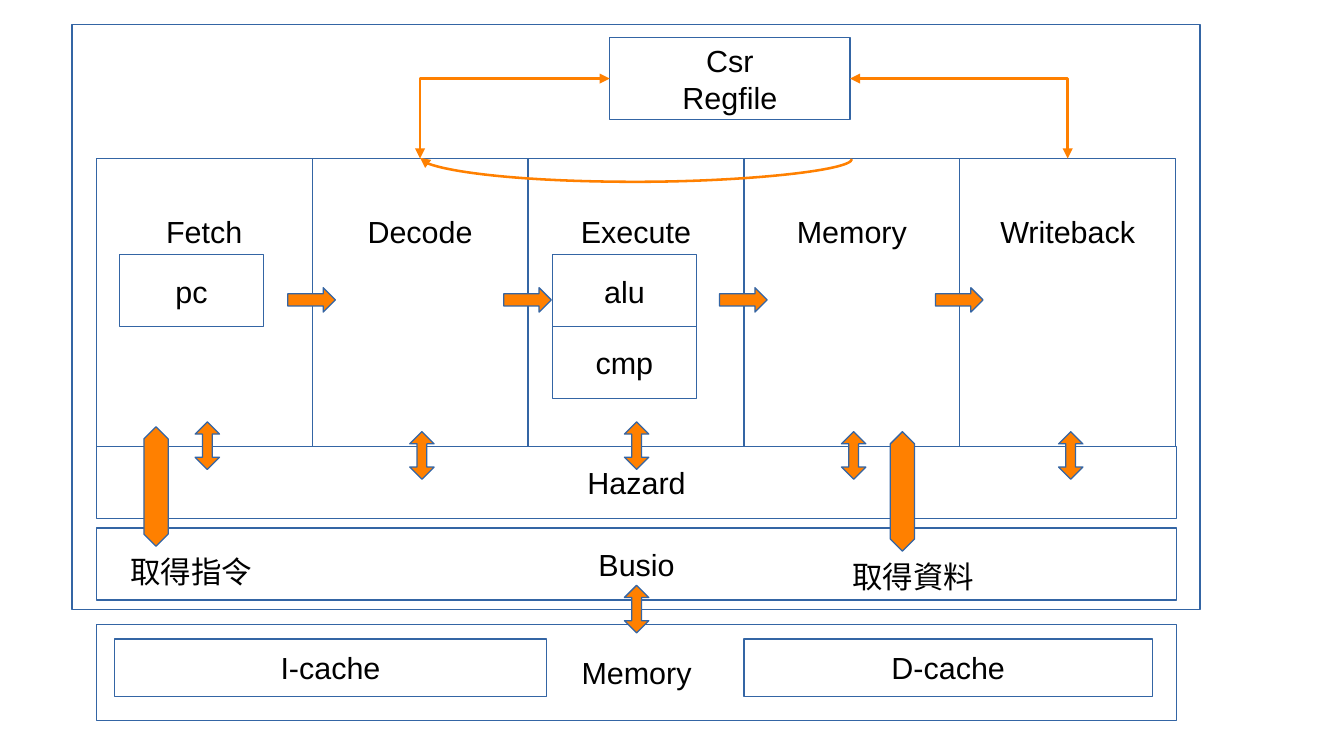
import pptx
import pptx.dml.color
import pptx.enum.shapes
import pptx.enum.text
import pptx.oxml
import pptx.oxml.ns
import pptx.util
from pptx.util import Inches

SHAPE = pptx.enum.shapes.MSO_SHAPE
ANCHOR = pptx.enum.text.MSO_ANCHOR
ALIGN = pptx.enum.text.PP_ALIGN
CONNECTOR = pptx.enum.shapes.MSO_CONNECTOR
WHITE, BLACK, BLUE, ORANGE = "FFFFFF", "000000", "3465A4", "FF8000"
TOP, LEFT, RIGHT = 0, 1, 3
STAGE_LEFT, STAGE_TOP, STAGE_WIDTH = 0.79, 1.3, 1.77
CORE_WIDTH = 8.86


def color(hex_code):
    """Turn a hex string into a colour."""
    return pptx.dml.color.RGBColor.from_string(hex_code)


def write(frame, text, size=18, font="Arial", ink=BLACK, align=ALIGN.CENTER,
          anchor=ANCHOR.MIDDLE, wrap=True, top_inset=0.05):
    """Put formatted text into a text frame."""
    frame.word_wrap = wrap
    frame.vertical_anchor = anchor
    frame.margin_top = Inches(top_inset)
    paragraph = frame.paragraphs[0]
    paragraph.text = text
    paragraph.alignment = align
    for run in paragraph.runs:
        run.font.size = pptx.util.Pt(size)
        run.font.name = font
        run.font.color.rgb = color(ink)


def add_block(slide, kind, left, top, width, height, fill):
    """Add a filled preset shape with a hairline outline."""
    block = slide.shapes.add_shape(
        kind, Inches(left), Inches(top), Inches(width), Inches(height))
    block.shadow.inherit = False
    block.fill.solid()
    block.fill.fore_color.rgb = color(fill)
    block.line.color.rgb = color(BLUE)
    block.line.width = pptx.util.Pt(0)
    return block


def add_unit(slide, left, top, width, height, label="", **text_format):
    """Add a white hardware unit with its label."""
    unit = add_block(slide, SHAPE.RECTANGLE, left, top, width, height, WHITE)
    if label:
        write(unit.text_frame, label, **text_format)
    return unit


def add_exchange(slide, center, top, height=0.39, head=0.398):
    """Add a vertical double block arrow."""
    exchange = add_block(slide, SHAPE.UP_DOWN_ARROW, center - 0.1, top, 0.2, height, ORANGE)
    exchange.adjustments[0] = 0.5
    exchange.adjustments[1] = head


def add_caption(slide, left, top, text):
    """Add a free caption."""
    caption = slide.shapes.add_textbox(Inches(left), Inches(top), Inches(1.2), Inches(0.44))
    write(caption.text_frame, text, align=ALIGN.LEFT, anchor=ANCHOR.TOP, wrap=False)


def add_path(slide, kind, preset, source, source_site, target, target_site, ends):
    """Connect two units with an orange arrow line."""
    path = slide.shapes.add_connector(kind, 0, 0, 0, 0)
    path.begin_connect(source, source_site)
    path.end_connect(target, target_site)
    path.line.color.rgb = color(ORANGE)
    path.line.width = pptx.util.Pt(1.5)
    properties = path._element.spPr
    properties.find(pptx.oxml.ns.qn("a:prstGeom")).set("prst", preset)
    line = path.line._get_or_add_ln()
    for end in ends:
        pptx.oxml.ns.qn(end)
        line.append(pptx.oxml.parse_xml(
            f'<{end} {pptx.oxml.ns.nsdecls("a")} type="triangle"/>'))
    properties.append(pptx.oxml.parse_xml(
        f'<a:effectLst {pptx.oxml.ns.nsdecls("a")}/>'))
    return path


def add_bypass(slide, decode, memory):
    """Add the curve that sags from decode to memory."""
    bypass = add_path(slide, CONNECTOR.CURVE, "curvedConnector3",
                      decode, TOP, memory, TOP, ["a:tailEnd"])
    span, sag, thickness = 2 * STAGE_WIDTH, 0.19, 0.01
    middle = STAGE_LEFT + 2.5 * STAGE_WIDTH
    bypass.left, bypass.top = Inches(middle - thickness / 2), Inches(STAGE_TOP - span / 2)
    bypass.width, bypass.height = Inches(thickness), Inches(span)
    properties = bypass._element.spPr
    properties.find(pptx.oxml.ns.qn("a:xfrm")).set("rot", str(270 * 60000))
    guides = properties.find(pptx.oxml.ns.qn("a:prstGeom")).get_or_add_avLst()
    guides.append(pptx.oxml.parse_xml(
        f'<a:gd {pptx.oxml.ns.nsdecls("a")} name="adj1" '
        f'fmla="val {round(-sag / thickness * 100000)}"/>'))


def main():
    """Build the processor pipeline slide."""
    deck = pptx.Presentation()
    deck.slide_width, deck.slide_height = Inches(11.02), Inches(6.2)
    slide = deck.slides.add_slide(deck.slide_layouts[6])

    add_unit(slide, 0.59, 0.2, 9.25, 4.8)
    registers = add_unit(slide, 5, 0.31, 1.97, 0.67, "Csr\nRegfile")
    add_unit(slide, STAGE_LEFT, 3.66, CORE_WIDTH, 0.59, "Hazard")
    add_unit(slide, STAGE_LEFT, 4.33, CORE_WIDTH, 0.59, "Busio")

    stages = {}
    for index, name in enumerate(["Fetch", "Decode", "Execute", "Memory", "Writeback"]):
        stages[name] = add_unit(
            slide, STAGE_LEFT + index * STAGE_WIDTH, STAGE_TOP, STAGE_WIDTH, 2.36,
            name, anchor=ANCHOR.TOP, top_inset=0.45)

    for left, top, name in [(4.53, 2.09, "alu"), (4.53, 2.68, "cmp"), (0.98, 2.09, "pc")]:
        add_unit(slide, left, top, 1.18, 0.59, name)

    add_unit(slide, STAGE_LEFT, 5.12, CORE_WIDTH, 0.79, "Memory")
    add_unit(slide, 0.94, 5.24, 3.54, 0.47, "I-cache")
    add_unit(slide, 6.1, 5.24, 3.35, 0.47, "D-cache")

    for site, name in [(RIGHT, "Writeback"), (LEFT, "Decode")]:
        add_path(slide, CONNECTOR.ELBOW, "bentConnector2", registers, site,
                 stages[name], TOP, ["a:headEnd", "a:tailEnd"])

    for center, top in [(1.7, 3.46), (3.46, 3.54), (5.22, 3.46),
                        (7, 3.54), (8.78, 3.54), (5.22, 4.8)]:
        add_exchange(slide, center, top)
    for index in range(4):
        add_block(slide, SHAPE.RIGHT_ARROW, 2.36 + index * STAGE_WIDTH, 2.36,
                  0.39, 0.2, ORANGE)
    for center, top in [(7.4, 3.54), (1.28, 3.5)]:
        add_exchange(slide, center, top, height=0.98, head=0.995)

    add_bypass(slide, stages["Decode"], stages["Memory"])
    add_caption(slide, 0.97, 4.49, "取得指令")
    add_caption(slide, 6.89, 4.53, "取得資料")
    deck.save("out.pptx")


if __name__ == "__main__":
    main()
